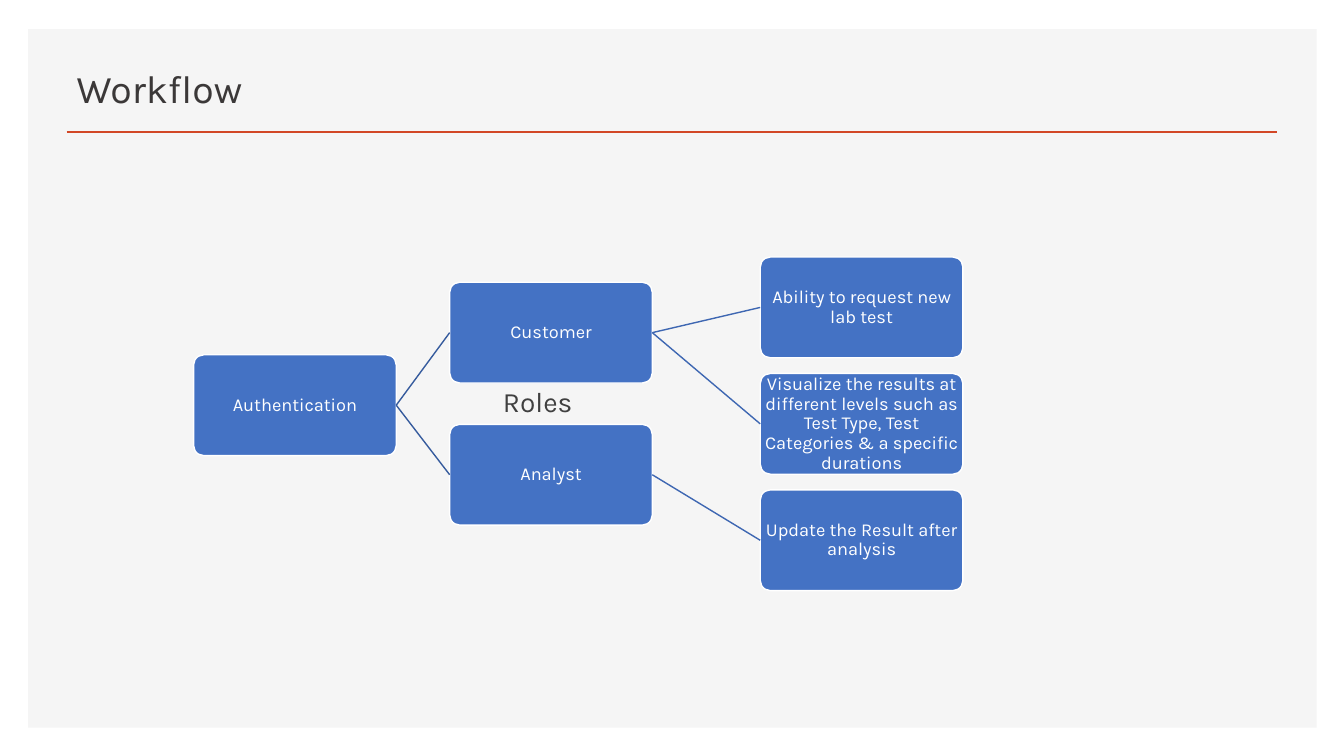
"""Build the Workflow slide: authentication, user roles and what each role can do."""
import pptx
import pptx.util
import pptx.dml.color
import pptx.enum.shapes
import pptx.enum.text
import lxml.etree

Inches, Pt = pptx.util.Inches, pptx.util.Pt
RGBColor = pptx.dml.color.RGBColor
MSO_SHAPE = pptx.enum.shapes.MSO_SHAPE
MSO_CONNECTOR = pptx.enum.shapes.MSO_CONNECTOR
PP_ALIGN = pptx.enum.text.PP_ALIGN
MSO_ANCHOR = pptx.enum.text.MSO_ANCHOR

HEADING = "Workflow"
ROLES_LABEL = "Roles"
LEVELS = [
    (1.92, 3.52, 0, ["Authentication"]),
    (4.46, 2.8, 1.41, ["Customer", "Analyst"]),
    (7.54, 2.55, 1.155, [
        "Ability to request new lab test",
        "Visualize the results at different levels such as "
        "Test Type, Test Categories & a specific durations",
        "Update the Result after analysis",
    ]),
]
LINKS = {(0, 0): [0, 1], (1, 0): [0, 1], (1, 1): [2]}

FONT = "Karla"
WHITE = RGBColor(0xFF, 0xFF, 0xFF)
PANEL_GREY = RGBColor(0xF5, 0xF5, 0xF5)
RULE_ORANGE = RGBColor(0xD2, 0x47, 0x26)
HEADING_GREY = RGBColor(0x3B, 0x38, 0x38)
LABEL_GREY = RGBColor(0x40, 0x40, 0x40)
BOX_BLUE = RGBColor(0x44, 0x72, 0xC4)
LINK_BLUES = [RGBColor(0x36, 0x5B, 0x9D), RGBColor(0x3E, 0x67, 0xB2)]

BOX_WIDTH, BOX_HEIGHT = Inches(2.01), Inches(1)
LEFT_SITE, RIGHT_SITE = 1, 3
EFFECT_LIST = "{http://schemas.openxmlformats.org/drawingml/2006/main}effectLst"


def write(frame, text, size, color, align, spacing):
    frame.word_wrap = True
    paragraph = frame.paragraphs[0]
    paragraph.alignment = align
    paragraph.line_spacing = spacing
    run = paragraph.add_run()
    run.text = text
    run.font.size = Pt(size)
    run.font.name = FONT
    run.font.color.rgb = color


def add_line(shapes, color, width, start=(0, 0), end=(0, 0)):
    points = [Inches(value) for value in (*start, *end)]
    line = shapes.add_connector(MSO_CONNECTOR.STRAIGHT, *points)
    line.line.color.rgb = color
    line.line.width = Pt(width)
    lxml.etree.SubElement(line._element.spPr, EFFECT_LIST)
    return line


def add_box(shapes, text, left, top):
    box = shapes.add_shape(MSO_SHAPE.ROUNDED_RECTANGLE, Inches(left), Inches(top),
                           BOX_WIDTH, BOX_HEIGHT)
    box.adjustments[0] = 0.1
    box.shadow.inherit = False
    box.fill.solid()
    box.fill.fore_color.rgb = BOX_BLUE
    box.line.color.rgb = WHITE
    box.line.width = Pt(1)
    frame = box.text_frame
    frame.margin_left = frame.margin_right = Inches(0.01)
    frame.margin_top = frame.margin_bottom = Inches(0.01)
    frame.vertical_anchor = MSO_ANCHOR.MIDDLE
    write(frame, text, 13, WHITE, PP_ALIGN.CENTER, 0.9)
    return box


deck = pptx.Presentation()
deck.slide_width, deck.slide_height = Inches(13.33), Inches(7.5)
slide = deck.slides.add_slide(deck.slide_layouts[5])
shapes = slide.shapes

panel = shapes.add_shape(MSO_SHAPE.RECTANGLE, Inches(0.28), Inches(0.29),
                         Inches(12.78), Inches(6.93))
panel.shadow.inherit = False
panel.fill.solid()
panel.fill.fore_color.rgb = PANEL_GREY
panel.line.fill.background()

heading = shapes.title
heading._element.addprevious(panel._element)
heading.left, heading.top = Inches(0.66), Inches(0.49)
heading.width, heading.height = Inches(12.01), Inches(0.82)
heading.text_frame.vertical_anchor = MSO_ANCHOR.MIDDLE
write(heading.text_frame, HEADING, 28, HEADING_GREY, PP_ALIGN.LEFT, 0.9)
add_line(shapes, RULE_ORANGE, 2, (0.66, 1.31), (12.67, 1.31))

boxes = [
    [add_box(shapes, text, left, top + row * pitch) for row, text in enumerate(texts)]
    for left, top, pitch, texts in LEVELS
]

for (level, row), targets in LINKS.items():
    for target in targets:
        link = add_line(shapes, LINK_BLUES[level], 1)
        link.begin_connect(boxes[level][row], RIGHT_SITE)
        link.end_connect(boxes[level + 1][target], LEFT_SITE)

roles = shapes.add_textbox(Inches(4.89), Inches(3.85), Inches(1.03), Inches(0.48))
write(roles.text_frame, ROLES_LABEL, 20, LABEL_GREY, PP_ALIGN.LEFT, Pt(18))
roles.text_frame.paragraphs[0].space_after = Pt(6)

deck.save("out.pptx")
